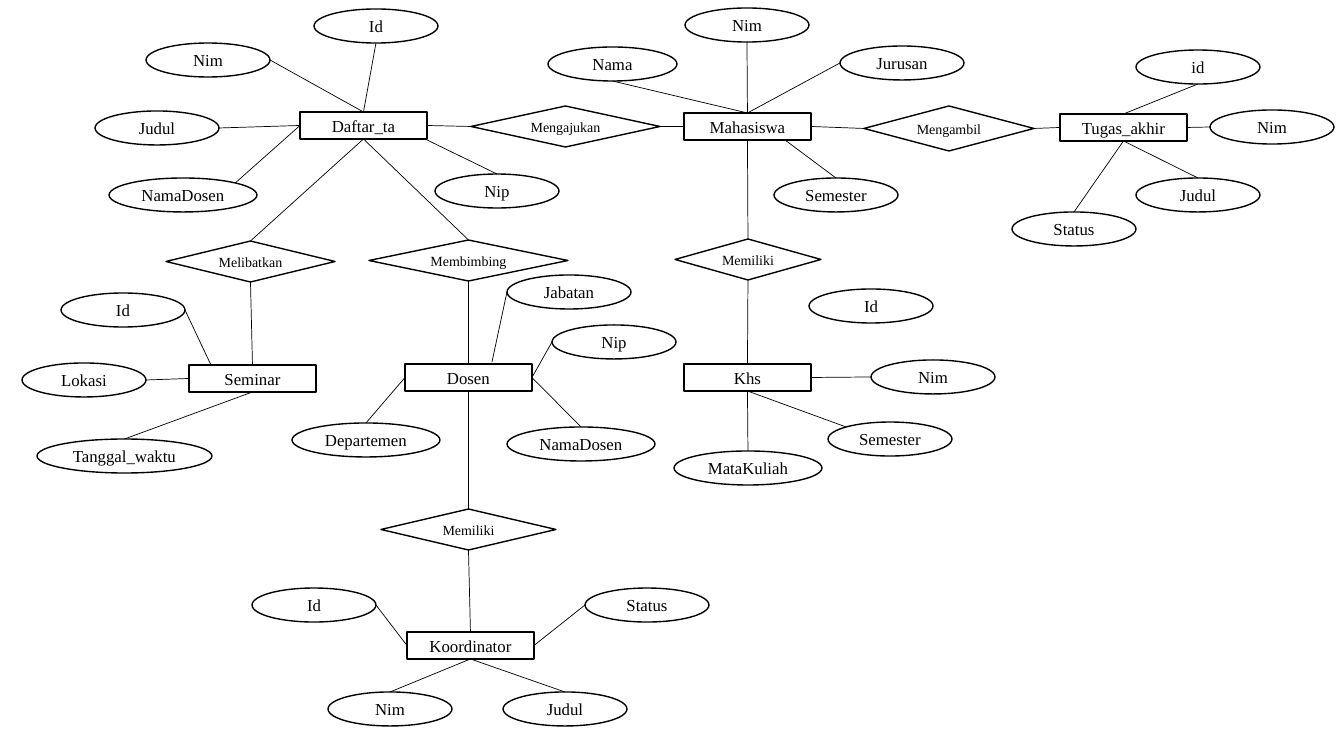
from dataclasses import dataclass
from enum import Enum

from lxml.etree import SubElement
from pptx import Presentation
from pptx.dml.color import RGBColor
from pptx.enum.shapes import MSO_CONNECTOR as CONN, MSO_SHAPE as SHAPE
from pptx.enum.text import MSO_ANCHOR, PP_ALIGN
from pptx.oxml.ns import qn
from pptx.util import Emu, Pt

SCALE = 914400 / 100.8
ENTITY_W, ENTITY_H = 127, 27
ATTR_W, ATTR_H = 124, 34
BLACK, WHITE = "000000", "FFFFFF"
DIAG = 0.5 ** 0.5


class Side(Enum):
    """Where a line meets a shape, as a direction from its centre."""
    TOP = (0, -1)
    TOP_LEFT = (-DIAG, -DIAG)
    LEFT = (-1, 0)
    BOTTOM = (0, 1)
    RIGHT = (1, 0)
    TOP_RIGHT = (DIAG, -DIAG)


T, TL, L, B, R, TR = Side
Anchor = Side | tuple[int, int]  # a side, or an offset from the top left corner
FOUR_SITES = {T: 0, L: 1, B: 2, R: 3}
OVAL_SITES = {T: 0, TL: 1, L: 2, B: 4, R: 6, TR: 7}


@dataclass
class Attribute:
    """An oval, tied to its entity unless the anchors are left out."""
    name: str
    x: int
    y: int
    at_entity: Anchor | None = None
    at_oval: Side | None = None
    w: int = ATTR_W


@dataclass
class Entity:
    """A box with its attributes."""
    name: str
    x: int
    y: int
    attributes: list[Attribute]


@dataclass
class Relation:
    """A diamond with its ends: entity name, entity side, diamond side."""
    name: str
    x: int
    y: int
    w: int
    h: int
    ends: list[tuple[str, Side, Side]]


ENTITIES = [
    Entity("Daftar_ta", 300, 112, [
        Attribute("Nim", 146, 43, T, R),
        Attribute("Judul", 95, 111, L, R),
        Attribute("NamaDosen", 109, 178, L, TR, 148),
        Attribute("Id", 314, 9, T, B),
        Attribute("Nip", 435, 174, (125, 27), T)]),
    Entity("Seminar", 189, 365, [
        Attribute("Id", 61, 293, (22, 0), R),
        Attribute("Lokasi", 22, 363, L, R),
        Attribute("Tanggal_waktu", 37, 439, B, T, 175)]),
    Entity("Koordinator", 407, 632, [
        Attribute("Id", 252, 588, L, R),
        Attribute("Nim", 328, 692, B, T),
        Attribute("Judul", 503, 692, B, T),
        Attribute("Status", 585, 588, R, L)]),
    Entity("Mahasiswa", 684, 113, [
        Attribute("Nama", 548, 47, T, B, 129),
        Attribute("Nim", 685, 8, T, B),
        Attribute("Jurusan", 840, 46, T, L),
        Attribute("Semester", 774, 178, (101, 27), T)]),
    Entity("Khs", 684, 364, [
        Attribute("Id", 809, 289),
        Attribute("Nim", 871, 360, R, L),
        Attribute("Semester", 828, 422, B, TL),
        Attribute("MataKuliah", 674, 451, B, T, 148)]),
    Entity("Dosen", 405, 364, [
        Attribute("Jabatan", 507, 275, (87, -2), L),
        Attribute("Nip", 552, 325, R, L),
        Attribute("NamaDosen", 507, 427, R, T, 148),
        Attribute("Departemen", 292, 423, L, T, 148)]),
    Entity("Tugas_akhir", 1060, 114, [
        Attribute("id", 1136, 50, T, B),
        Attribute("Nim", 1210, 110, R, L),
        Attribute("Judul", 1136, 178, B, T),
        Attribute("Status", 1012, 212, B, T)]),
]
RELATIONS = [
    Relation("Mengajukan", 471, 106, 189, 41, [("Daftar_ta", R, L), ("Mahasiswa", L, R)]),
    Relation("Mengambil", 864, 106, 170, 45, [("Mahasiswa", R, L), ("Tugas_akhir", L, R)]),
    Relation("Melibatkan", 166, 241, 169, 41, [("Daftar_ta", B, T), ("Seminar", T, B)]),
    Relation("Membimbing", 369, 240, 199, 41, [("Daftar_ta", B, T), ("Dosen", T, B)]),
    Relation("Memiliki", 675, 239, 146, 41, [("Mahasiswa", B, T), ("Khs", T, B)]),
    Relation("Memiliki", 381, 509, 175, 41, [("Dosen", B, T), ("Koordinator", T, B)]),
]


def px(n: float) -> Emu:
    """Turn pixels into EMU."""
    return Emu(round(n * SCALE))


def color(value: str) -> RGBColor:
    """Turn a hex string into a colour."""
    return RGBColor.from_string(value)


def add_node(s, kind, label: str, x: int, y: int, w: int, h: int, size: int = 12):
    """Draw an outlined shape with a centred label."""
    sp = s.shapes.add_shape(kind, px(x), px(y), px(w), px(h))
    sp.shadow.inherit = False
    sp.fill.solid()
    sp.fill.fore_color.rgb = color(WHITE)
    sp.line.color.rgb = color(BLACK)
    sp.line.width = Pt(1)
    tf = sp.text_frame
    tf.word_wrap = True
    tf.vertical_anchor = MSO_ANCHOR.MIDDLE
    tf.margin_left = tf.margin_right = tf.margin_top = tf.margin_bottom = 0
    p = tf.paragraphs[0]
    p.text = label
    p.alignment = PP_ALIGN.CENTER
    p.font.name = "Times New Roman"
    p.font.size = Pt(size)
    p.font.color.rgb = color(BLACK)
    return sp


def anchor_point(sp, anchor: Anchor) -> tuple[Emu, Emu]:
    """Find the slide position of an anchor on a shape."""
    if isinstance(anchor, tuple):
        return Emu(sp.left + px(anchor[0])), Emu(sp.top + px(anchor[1]))
    dx, dy = anchor.value
    return (Emu(round(sp.left + sp.width * (1 + dx) / 2)),
            Emu(round(sp.top + sp.height * (1 + dy) / 2)))


def add_link(s, start, start_at: Anchor, end, end_at: Anchor) -> None:
    """Draw a thin line between two shapes, glued wherever it meets a side."""
    line = s.shapes.add_connector(
        CONN.STRAIGHT, *anchor_point(start, start_at), *anchor_point(end, end_at))
    line.line.color.rgb = color(BLACK)
    line.line.width = Pt(0.5)
    SubElement(line._element.spPr, qn("a:effectLst"))
    glue = line._element.nvCxnSpPr.cNvCxnSpPr
    for tag, sp, at in (("a:stCxn", start, start_at), ("a:endCxn", end, end_at)):
        if isinstance(at, Side):
            sites = OVAL_SITES if sp.auto_shape_type == SHAPE.OVAL else FOUR_SITES
            SubElement(glue, qn(tag), id=str(sp.shape_id), idx=str(sites[at]))


def main() -> None:
    """Build the entity relationship diagram."""
    prs = Presentation()
    prs.slide_width, prs.slide_height = px(1344), px(756)
    s = prs.slides.add_slide(prs.slide_layouts[6])
    boxes = {e.name: add_node(s, SHAPE.RECTANGLE, e.name, e.x, e.y, ENTITY_W, ENTITY_H)
             for e in ENTITIES}
    for e in ENTITIES:
        for a in e.attributes:
            oval = add_node(s, SHAPE.OVAL, a.name, a.x, a.y, a.w, ATTR_H)
            if a.at_entity:
                add_link(s, boxes[e.name], a.at_entity, oval, a.at_oval)
    for rel in RELATIONS:
        diamond = add_node(s, SHAPE.DIAMOND, rel.name, rel.x, rel.y, rel.w, rel.h, 10)
        for entity, entity_side, diamond_side in rel.ends:
            add_link(s, boxes[entity], entity_side, diamond, diamond_side)
    prs.save("out.pptx")


main()
